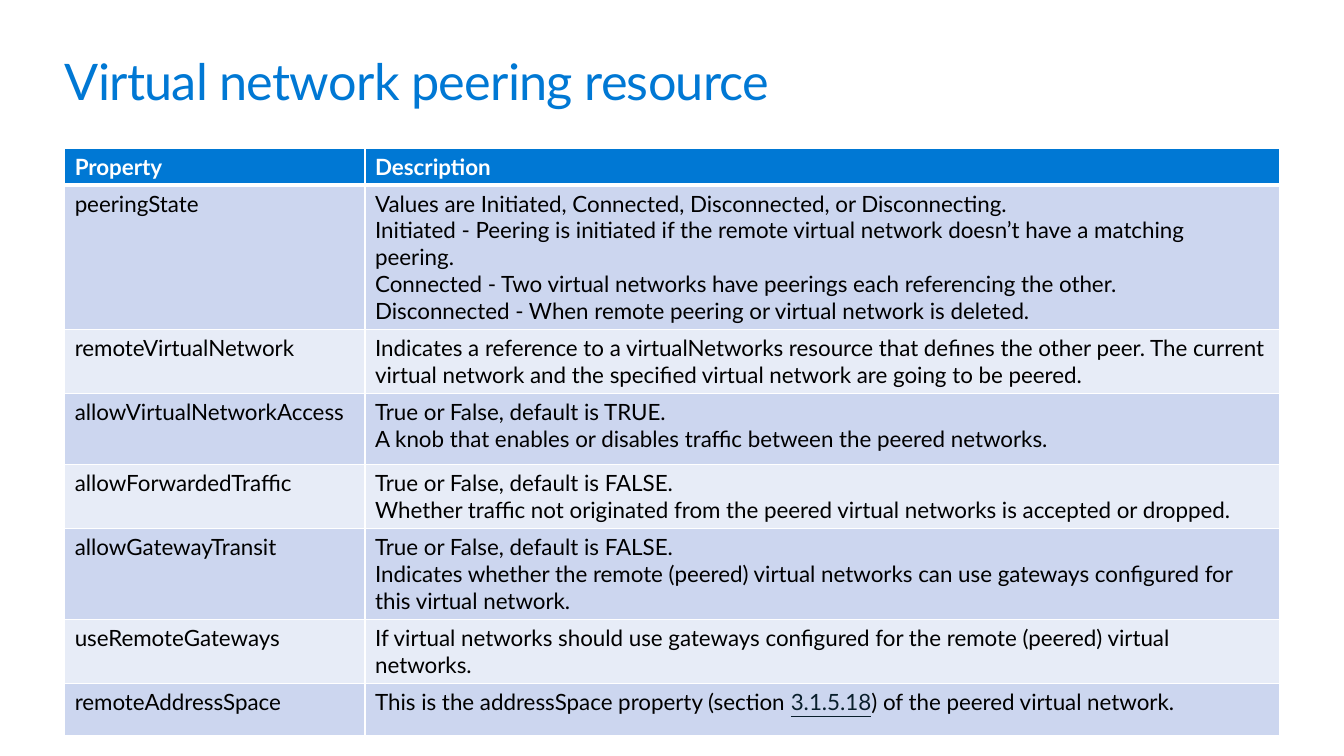
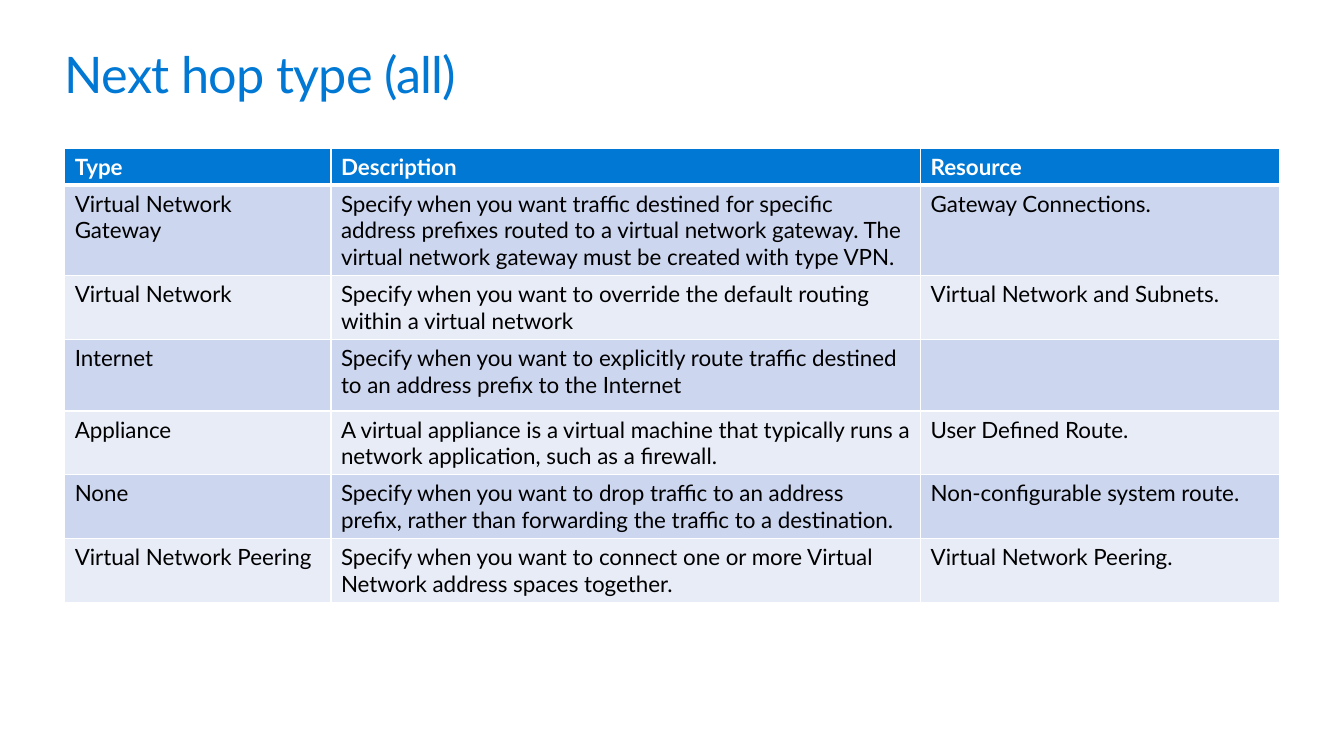
from dataclasses import dataclass

from lxml import etree
from pptx import Presentation
from pptx import util as u
from pptx.dml.color import RGBColor
from pptx.enum import text
from pptx.oxml import ns


@dataclass(frozen=True)
class Theme:
    font: str = "Lato"
    title_size: int = 36
    body_size: int = 16
    accent: str = "0078D4"
    ink: str = "000000"
    link: str = "091F2C"
    white: str = "FFFFFF"
    bands: tuple = ("CCD6EF", "E7ECF7")
    line: float = 1
    header_line: float = 3


theme = Theme()

LEFT, WIDTH = u.Cm(1.63), u.Cm(30.61)
TITLE_TOP, TABLE_TOP = u.Cm(1.27), u.Cm(3.73)
HEADER_H, ROW_H, TALL_ROW_H = u.Cm(0.91), u.Cm(1.32), u.Cm(1.8)
TALL_ROW = 3


def write(tf, paragraphs, *, size=theme.body_size, color=theme.ink, bold=False,
          tracking=None, line_spacing=None):
    """Fill a text frame; a paragraph is a string or a list of strings, with
    a reference to be underlined given as a one-item tuple."""
    if isinstance(paragraphs, str):
        paragraphs = [paragraphs]
    for i, parts in enumerate(paragraphs):
        p = tf.paragraphs[0] if i == 0 else tf.add_paragraph()
        if line_spacing:
            p.line_spacing = line_spacing
        for part in [parts] if isinstance(parts, str) else parts:
            is_ref = isinstance(part, tuple)
            r = p.add_run()
            r.text = part[0] if is_ref else part
            r.font.name = theme.font
            r.font.size = u.Pt(size)
            r.font.bold = bold
            r.font.color.rgb = RGBColor.from_string(theme.link if is_ref else color)
            if is_ref:
                r.font.underline = True
            if tracking:
                r.font._element.set("spc", str(round(tracking * 100)))


def style_cell(cell, fill, bottom_line, top_line):
    """Give a cell white borders and a plain fill."""
    tc_pr = cell._tc.get_or_add_tcPr()
    widths = {"lnL": theme.line, "lnR": theme.line, "lnT": top_line, "lnB": bottom_line}
    for side, width in widths.items():
        ln = etree.SubElement(tc_pr, ns.qn(f"a:{side}"), w=str(u.Pt(width)))
        solid = etree.SubElement(ln, ns.qn("a:solidFill"))
        etree.SubElement(solid, ns.qn("a:srgbClr"), val=theme.white)
    cell.fill.solid()
    cell.fill.fore_color.rgb = RGBColor.from_string(fill)


peering = {
    "title": "Virtual network peering resource",
    "title_height": 1.55,
    "title_spacing": None,
    "columns": [7.57, 23.04],
    "rows": [
        ["Property", "Description"],
        ["peeringState", [
            "Values are Initiated, Connected, Disconnected, or Disconnecting.",
            "Initiated - Peering is initiated if the remote virtual network "
            "doesn’t have a matching peering.",
            "Connected - Two virtual networks have peerings each referencing the other.",
            "Disconnected - When remote peering or virtual network is deleted.",
        ]],
        ["remoteVirtualNetwork",
         "Indicates a reference to a virtualNetworks resource that defines the other peer. "
         "The current virtual network and the specified virtual network are going to be "
         "peered."],
        ["allowVirtualNetworkAccess", [
            "True or False, default is TRUE.",
            "A knob that enables or disables traffic between the peered networks.",
        ]],
        ["allowForwardedTraffic", [
            "True or False, default is FALSE.",
            "Whether traffic not originated from the peered virtual networks is accepted "
            "or dropped.",
        ]],
        ["allowGatewayTransit", [
            "True or False, default is FALSE.",
            "Indicates whether the remote (peered) virtual networks can use gateways "
            "configured for this virtual network.",
        ]],
        ["useRemoteGateways",
         "If virtual networks should use gateways configured for the remote (peered) "
         "virtual networks."],
        ["remoteAddressSpace", [
            ["This is the addressSpace property (section ", ("3.1.5.18",),
             ") of the peered virtual network."],
        ]],
    ],
}

next_hop = {
    "title": "Next hop type (all)",
    "title_height": 1.4,
    "title_spacing": 0.9,
    "columns": [6.71, 14.86, 9.04],
    "rows": [
        ["Type", "Description", "Resource"],
        ["Virtual Network Gateway",
         "Specify when you want traffic destined for specific address prefixes routed to a "
         "virtual network gateway. The virtual network gateway must be created with type VPN.",
         "Gateway Connections."],
        ["Virtual Network",
         "Specify when you want to override the default routing within a virtual network",
         "Virtual Network and Subnets."],
        ["Internet",
         "Specify when you want to explicitly route traffic destined to an address prefix "
         "to the Internet",
         []],
        ["Appliance",
         "A virtual appliance is a virtual machine that typically runs a network "
         "application, such as a firewall.",
         "User Defined Route."],
        ["None",
         "Specify when you want to drop traffic to an address prefix, rather than "
         "forwarding the traffic to a destination.",
         "Non-configurable system route."],
        ["Virtual Network Peering",
         "Specify when you want to connect one or more Virtual Network address spaces "
         "together.",
         "Virtual Network Peering."],
    ],
}

prs = Presentation()
prs.slide_width, prs.slide_height = u.Cm(33.87), u.Cm(19.05)

for content in (peering, next_hop):
    s = prs.slides.add_slide(prs.slide_layouts[6])

    title = s.shapes.add_textbox(LEFT, TITLE_TOP, WIDTH, u.Cm(content["title_height"]))
    tf = title.text_frame
    tf.word_wrap = True
    tf.auto_size = text.MSO_AUTO_SIZE.SHAPE_TO_FIT_TEXT
    tf.margin_left = tf.margin_top = tf.margin_right = tf.margin_bottom = 0
    write(tf, content["title"], size=theme.title_size, color=theme.accent,
          tracking=-0.5, line_spacing=content["title_spacing"])

    rows, columns = content["rows"], content["columns"]
    height = HEADER_H + TALL_ROW_H + ROW_H * (len(rows) - 2)
    table = s.shapes.add_table(len(rows), len(columns), LEFT, TABLE_TOP, WIDTH, height).table
    for column, width in zip(table.columns, columns):
        column.width = u.Cm(width)

    for i, row in enumerate(rows):
        is_header = i == 0
        table.rows[i].height = {0: HEADER_H, TALL_ROW: TALL_ROW_H}.get(i, ROW_H)
        fill = theme.accent if is_header else theme.bands[(i - 1) % 2]
        for j, value in enumerate(row):
            cell = table.cell(i, j)
            style_cell(cell, fill,
                       bottom_line=theme.header_line if is_header else theme.line,
                       top_line=theme.header_line if i == 1 else theme.line)
            write(cell.text_frame, value, bold=is_header,
                  color=theme.white if is_header else theme.ink)

prs.save("out.pptx")
